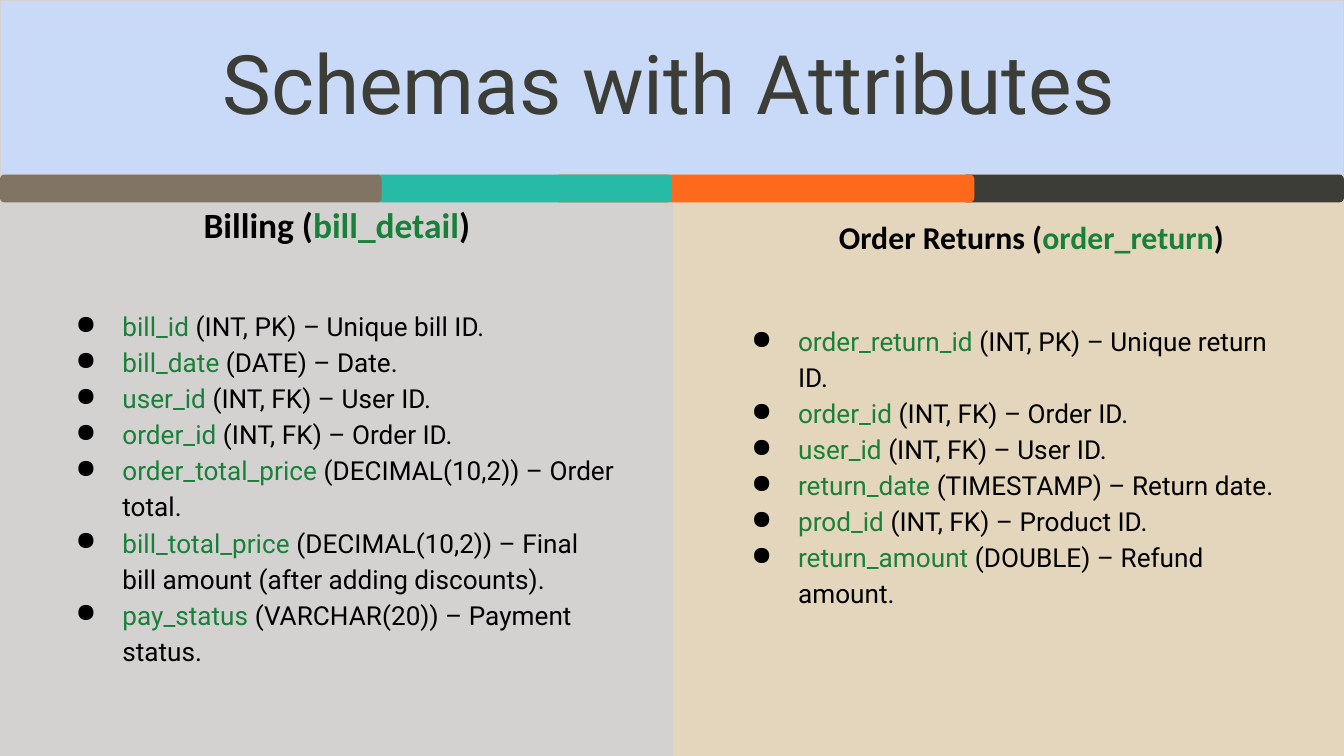
from typing import NamedTuple

from lxml.etree import SubElement
from pptx import Presentation
from pptx.dml.color import RGBColor
from pptx.enum.shapes import MSO_SHAPE
from pptx.enum.text import MSO_ANCHOR, PP_ALIGN
from pptx.oxml.ns import qn
from pptx.slide import Slide
from pptx.text.text import TextFrame
from pptx.util import Pt

BLUE = RGBColor(0xC9, 0xDA, 0xF8)
SAND = RGBColor(0xE3, 0xD6, 0xBC)
GRAY = RGBColor(0xD4, 0xD2, 0xD1)
DARK = RGBColor(0x3C, 0x3D, 0x36)
ORANGE = RGBColor(0xFF, 0x69, 0x1C)
TEAL = RGBColor(0x27, 0xBA, 0xA6)
BROWN = RGBColor(0x81, 0x74, 0x63)
GREEN = RGBColor(0x18, 0x80, 0x38)
BLACK = RGBColor(0x00, 0x00, 0x00)

PAGE_WIDTH, PAGE_HEIGHT = 720, 405
HEADER_HEIGHT = 93.5
STRIPE_HEIGHT = 15
COLUMN_WIDTH, HEADING_HEIGHT, LIST_HEIGHT = 316, 54.5, 236


class Area(NamedTuple):
    left: float
    top: float
    width: float
    height: float


class Panel(NamedTuple):
    area: Area
    color: RGBColor
    outlined: bool


class Stripe(NamedTuple):
    left: float
    width: float
    color: RGBColor


class Schema(NamedTuple):
    title: str
    table: str
    title_size: float
    title_area: Area
    list_area: Area
    attributes: list[tuple[str, str]]


PANELS = [
    Panel(Area(PAGE_WIDTH / 2, 0, PAGE_WIDTH / 2, PAGE_HEIGHT), SAND, False),
    Panel(Area(0, HEADER_HEIGHT, PAGE_WIDTH / 2, PAGE_HEIGHT - HEADER_HEIGHT), GRAY, True),
    Panel(Area(0, 0, PAGE_WIDTH, HEADER_HEIGHT), BLUE, True),
]

STRIPES = [
    Stripe(515.5, 204.5, DARK),
    Stripe(297.5, 224.5, ORANGE),
    Stripe(200, 160, TEAL),
    Stripe(0, 204.5, BROWN),
]

SCHEMAS = [
    Schema(
        "Order Returns", "order_return", 17,
        Area(394.5, 106.5, COLUMN_WIDTH, HEADING_HEIGHT),
        Area(384.5, 131, COLUMN_WIDTH, LIST_HEIGHT),
        [
            ("order_return_id", "(INT, PK) – Unique return ID."),
            ("order_id", "(INT, FK) – Order ID."),
            ("user_id", "(INT, FK) – User ID."),
            ("return_date", "(TIMESTAMP) – Return date."),
            ("prod_id", "(INT, FK) – Product ID."),
            ("return_amount", "(DOUBLE) – Refund amount."),
        ],
    ),
    Schema(
        "Billing", "bill_detail", 19,
        Area(22.5, 98, COLUMN_WIDTH, HEADING_HEIGHT),
        Area(22.5, 142.5, COLUMN_WIDTH, LIST_HEIGHT),
        [
            ("bill_id", "(INT, PK) – Unique bill ID."),
            ("bill_date", "(DATE) – Date."),
            ("user_id", "(INT, FK) – User ID."),
            ("order_id", "(INT, FK) – Order ID."),
            ("order_total_price", "(DECIMAL(10,2)) – Order total."),
            ("bill_total_price", "(DECIMAL(10,2)) – Final bill amount (after adding discounts)."),
            ("pay_status", "(VARCHAR(20)) – Payment status."),
        ],
    ),
]


def add_block(page: Slide, kind: MSO_SHAPE, area: Area, color: RGBColor, outlined: bool = False) -> None:
    block = page.shapes.add_shape(kind, *map(Pt, area))
    block.shadow.inherit = False
    block.fill.solid()
    block.fill.fore_color.rgb = color
    if outlined:
        block.line.color.rgb = GRAY
        block.line.width = Pt(0.75)
    else:
        block.line.fill.background()


def add_text_frame(page: Slide, area: Area, anchor: MSO_ANCHOR = MSO_ANCHOR.TOP) -> TextFrame:
    frame = page.shapes.add_textbox(*map(Pt, area)).text_frame
    frame.word_wrap = True
    frame.vertical_anchor = anchor
    frame.margin_left = frame.margin_right = Pt(7.2)
    frame.margin_top = frame.margin_bottom = Pt(7.2)
    return frame


def add_span(para, text: str, font: str, size: float, color: RGBColor, bold: bool = False) -> None:
    span = para.add_run()
    span.text = text
    span.font.name = font
    span.font.size = Pt(size)
    span.font.bold = bold
    span.font.color.rgb = color


def add_bullet(para) -> None:
    properties = para._p.get_or_add_pPr()
    properties.set("marL", str(Pt(36)))
    properties.set("indent", str(Pt(-25)))
    color = SubElement(properties, qn("a:buClr"))
    SubElement(color, qn("a:srgbClr"), val=str(BLACK))
    SubElement(properties, qn("a:buChar"), char="●")


def add_title(page: Slide) -> None:
    para = add_text_frame(page, Area(6, 26.5, 705, 71)).paragraphs[0]
    para.alignment = PP_ALIGN.CENTER
    para.line_spacing = 0.65
    add_span(para, "Schemas with Attributes", "Roboto", 44, DARK)


def add_schema(page: Slide, schema: Schema) -> None:
    heading = add_text_frame(page, schema.title_area).paragraphs[0]
    heading.alignment = PP_ALIGN.CENTER
    heading.line_spacing = 1.15
    for text, color in ((f"{schema.title} (", BLACK), (schema.table, GREEN), (")", BLACK)):
        add_span(heading, text, "Calibri", schema.title_size, color, bold=True)

    frame = add_text_frame(page, schema.list_area, MSO_ANCHOR.MIDDLE)
    for index, (name, description) in enumerate(schema.attributes):
        para = frame.add_paragraph() if index else frame.paragraphs[0]
        add_bullet(para)
        para.line_spacing = 1.15
        add_span(para, name, "Roboto", 14, GREEN)
        add_span(para, f" {description}", "Roboto", 14, BLACK)


def main() -> None:
    """Build the slide of billing and order return schemas."""
    deck = Presentation()
    deck.slide_width, deck.slide_height = Pt(PAGE_WIDTH), Pt(PAGE_HEIGHT)
    page = deck.slides.add_slide(deck.slide_layouts[6])
    page.background.fill.solid()
    page.background.fill.fore_color.rgb = BLUE
    for panel in PANELS:
        add_block(page, MSO_SHAPE.RECTANGLE, panel.area, panel.color, panel.outlined)
    add_title(page)
    for schema in SCHEMAS:
        add_schema(page, schema)
    for stripe in STRIPES:
        area = Area(stripe.left, HEADER_HEIGHT, stripe.width, STRIPE_HEIGHT)
        add_block(page, MSO_SHAPE.ROUNDED_RECTANGLE, area, stripe.color)
    deck.save("out.pptx")


if __name__ == "__main__":
    main()
